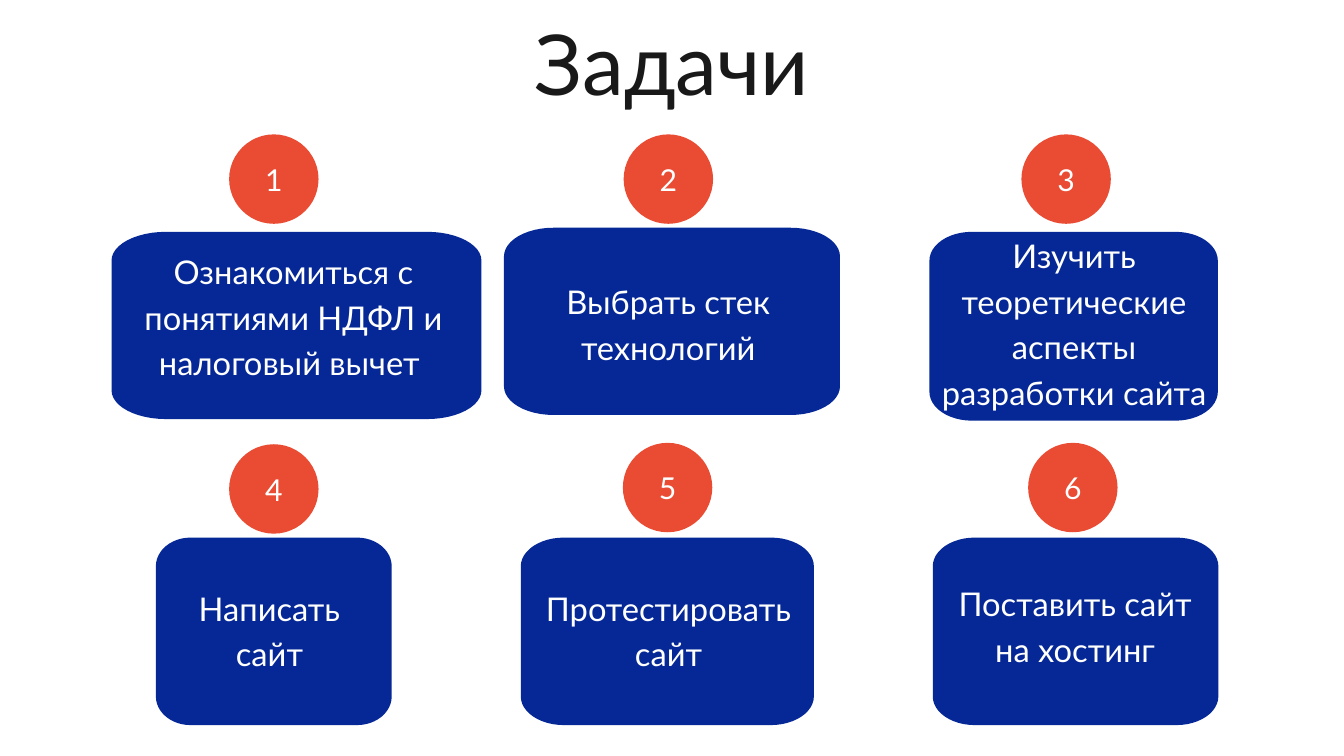
import math

from pptx import Presentation
from pptx.dml.color import RGBColor
from pptx.enum import shapes, text
from pptx.util import Pt

FONT = "Lato"
BLUE, RED, WHITE, DARK = "052896", "EA4B33", "FFFFFF", "191919"
BADGE_SIZE = 95.8
CORNER_X, CORNER_Y = 0.147, 0.153  # corner radii as shares of width and height
CORNER_STEPS = 12

# Each task: wording, badge (left, top), card and label (left, top, width, height)
TASKS = [
    ("Ознакомиться с понятиями НДФЛ и налоговый вычет ",
     (245.5, 144), (119.5, 248.4, 396.3, 200.6), (134.6, 262.8, 360, 194.4)),
    ("Выбрать стек технологий",
     (668.2, 144), (540, 244, 360, 200.6), (554.4, 295.2, 323.3, 95)),
    ("Изучить теоретические аспекты разработки сайта",
     (1094.4, 144), (995.8, 248.4, 309, 202.3), (1008, 245.5, 285.8, 194.4)),
    ("Написать сайт",
     (245.5, 476), (167, 576, 252.7, 200.9), (175.7, 623.5, 226.1, 95)),
    ("Протестировать сайт",
     (667.4, 474.5), (558, 576, 314, 200.9), (577.4, 623.5, 277.9, 95)),
    ("Поставить сайт на хостинг",
     (1101.6, 474.5), (999.4, 576, 306, 200.9), (1009.4, 618.5, 285.1, 95)),
]


def color(value):
    return RGBColor.from_string(value)


def paint(shape, fill):
    shape.fill.solid()
    shape.fill.fore_color.rgb = color(fill)
    shape.line.fill.background()
    shape.shadow.inherit = False


def write(shape, wording, size, line_height, ink, anchor):
    frame = shape.text_frame
    frame.word_wrap = True
    frame.vertical_anchor = anchor
    frame.margin_left = frame.margin_right = 0
    frame.margin_top = frame.margin_bottom = 0
    paragraph = frame.paragraphs[0]
    paragraph.text = wording
    paragraph.alignment = text.PP_ALIGN.CENTER
    paragraph.line_spacing = Pt(line_height)
    paragraph.font.name = FONT
    paragraph.font.size = Pt(size)
    paragraph.font.color.rgb = color(ink)


def add_label(slide, box, wording, size, line_height, ink):
    label = slide.shapes.add_textbox(*map(Pt, box))
    write(label, wording, size, line_height, ink, text.MSO_ANCHOR.TOP)


def add_card(slide, left, top, width, height):
    """Draw a box whose corners are quarter ellipses."""
    rx, ry = CORNER_X * width, CORNER_Y * height
    right, bottom = left + width - rx, top + height - ry
    # Clockwise from the top left corner
    centers = [(left + rx, top + ry), (right, top + ry),
               (right, bottom), (left + rx, bottom)]
    outline = []
    for corner, (cx, cy) in enumerate(centers):
        for step in range(CORNER_STEPS + 1):
            angle = math.pi / 2 * (corner + 2 + step / CORNER_STEPS)
            outline.append((Pt(cx + rx * math.cos(angle)),
                            Pt(cy + ry * math.sin(angle))))
    builder = slide.shapes.build_freeform(*outline[0])
    builder.add_line_segments(outline[1:], close=True)
    paint(builder.convert_to_shape(), BLUE)


def add_badge(slide, left, top, number):
    badge = slide.shapes.add_shape(shapes.MSO_SHAPE.OVAL, Pt(left), Pt(top),
                                   Pt(BADGE_SIZE), Pt(BADGE_SIZE))
    paint(badge, RED)
    write(badge, str(number), 32.3, 38.8, WHITE, text.MSO_ANCHOR.MIDDLE)


def main():
    prs = Presentation()
    prs.slide_width, prs.slide_height = Pt(1440), Pt(810)
    slide = prs.slides.add_slide(prs.slide_layouts[6])

    # Title
    add_label(slide, (101.5, 12.2, 1237, 108.7), "Задачи", 90, 108, DARK)

    # Numbered tasks
    for number, (wording, badge, card, label) in enumerate(TASKS, start=1):
        add_card(slide, *card)
        add_label(slide, label, wording, 35, 49, WHITE)
        add_badge(slide, *badge, number)

    prs.save("out.pptx")


if __name__ == "__main__":
    main()
